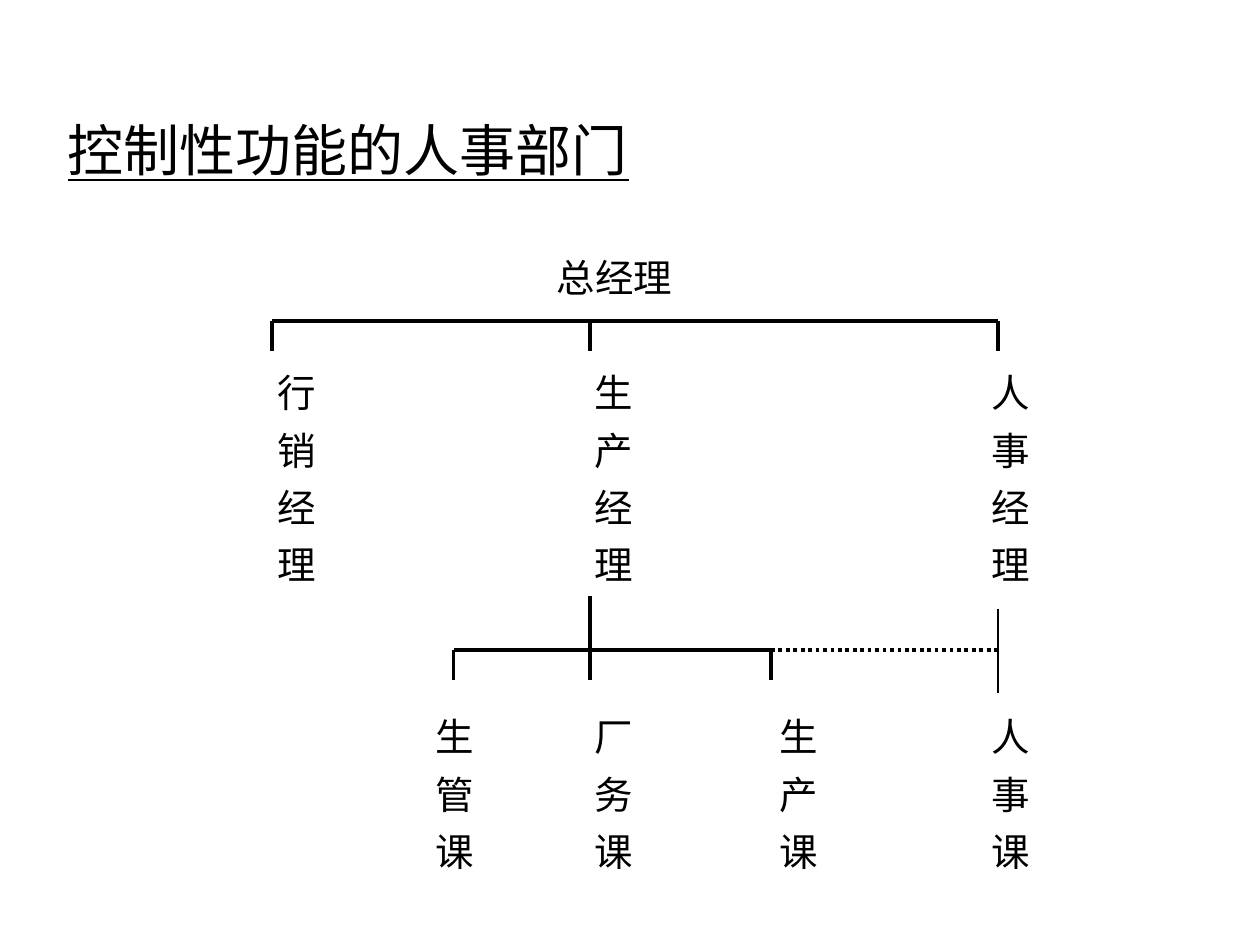
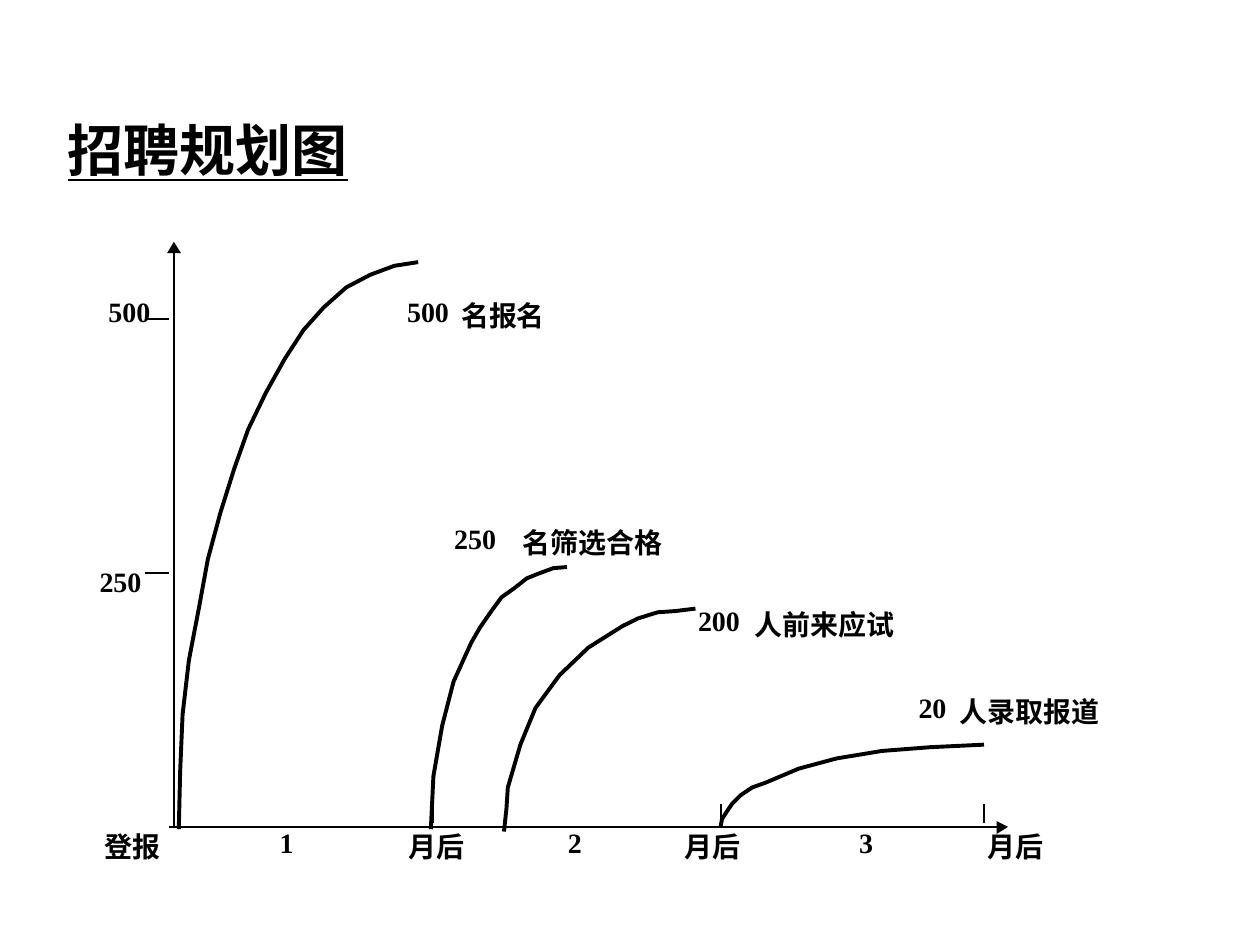
from dataclasses import dataclass

from pptx import Presentation
from pptx.dml.color import RGBColor
from pptx.enum.dml import MSO_LINE
from pptx.enum.shapes import MSO_CONNECTOR
from pptx.enum.text import MSO_ANCHOR, MSO_AUTO_SIZE
from pptx.oxml.ns import qn
from pptx.shapes.autoshape import Shape
from pptx.slide import Slide
from pptx.util import Pt

INK = RGBColor(0, 0, 0)
HAN = "Noto Sans CJK SC"
LATIN = "Times New Roman"
HEAD = "Montserrat"

BAR = 2.13
THIN = 1.13
CURVE = 2.25
ROW = 32.8
LEFT, MID, RIGHT = 155.5, 337, 570.2
TOP_BAR, LOW_BAR = 183.6, 371.6
STUB = 17
BASE = 472.5
AXIS = 99.4

Point = tuple[float, float]


@dataclass
class Column:
    text: str
    left: float
    top: float


@dataclass
class Stage:
    count: str
    text: str
    left: float
    text_left: float
    top: float
    points: list[Point]


COLUMNS = [
    Column("行销经理", 158.4, 211),
    Column("生产经理", 339.8, 211),
    Column("人事经理", 566.6, 211),
    Column("生管课", 249.1, 407.5),
    Column("厂务课", 339.8, 407.5),
    Column("生产课", 445.7, 407.5),
    Column("人事课", 566.6, 407.5),
]

STAGES = [
    Stage("500", "名报名", 232.6, 263.5, 168.5, [
        (239, 149.8), (225.4, 151.9), (211.7, 157), (198, 164.2),
        (185, 175.7), (173.5, 188.6), (162.7, 205.2), (151.9, 224.6),
        (141.8, 245.5), (133.9, 267.8), (126, 293), (118.8, 319.7),
        (113.8, 347), (108, 377.3), (104.4, 408.2), (103, 440.6),
        (102.2, 473.8)]),
    Stage("250", "名筛选合格", 259.5, 298.8, 298.3, [
        (324, 324), (316.1, 324.7), (308.2, 327.6), (301, 330.5),
        (293.8, 336.2), (286.6, 341.3), (280.8, 349.2), (274.3, 358.6),
        (269.3, 367.2), (259.2, 389.5), (252.7, 414.7), (247.7, 443.5),
        (246.2, 473.8)]),
    Stage("200", "人前来应试", 398.9, 431.3, 344.9, [
        (397.4, 347.8), (385.9, 349.2), (375.8, 349.9), (364.3, 353.5),
        (355.7, 357.8), (336.2, 370.1), (319.7, 385.9), (306, 404.6),
        (297.4, 425.5), (290.2, 450), (289.4, 462.2), (288, 475.2)]),
    Stage("20", "人录取报道", 524.9, 548.6, 394.6, [
        (562.3, 425.5), (531.4, 427), (504, 429.1), (478.1, 433.4),
        (456.5, 439.2), (437.8, 447.1), (429.8, 450), (423.4, 454.3),
        (418.3, 459.4), (415.4, 463.7), (412.6, 468), (411.8, 472.3)]),
]

MONTHS = [("登报", 59.8), ("1", 159.8), ("月后", 233.3), ("2", 324.6),
          ("月后", 391), ("3", 491), ("月后", 564.5)]


def write(slide: Slide, text: str, left: float, top: float, *,
          size: float = 22, font: str = HAN, bold: bool = False,
          under: bool = False, box: Point | None = None) -> None:
    em = 0.5 if font == LATIN else 1
    width, height = box or (len(text) * size * em, size * 1.21)
    shape = slide.shapes.add_textbox(Pt(left), Pt(top), Pt(width), Pt(height))
    frame = shape.text_frame
    if box:
        frame.word_wrap = True
        frame.vertical_anchor = MSO_ANCHOR.BOTTOM
    else:
        frame.margin_left = frame.margin_right = 0
        frame.margin_top = frame.margin_bottom = 0
        frame.word_wrap = False
        frame.auto_size = MSO_AUTO_SIZE.SHAPE_TO_FIT_TEXT
    run = frame.paragraphs[0].add_run()
    run.text = text
    style = run.font
    style.name, style.size = font, Pt(size)
    style.bold, style.underline = bold, under
    style.color.rgb = INK
    east = run._r.get_or_add_rPr().makeelement(qn("a:ea"), {"typeface": HAN})
    run._r.rPr.find(qn("a:latin")).addnext(east)


def title(slide: Slide, text: str, bold: bool = False) -> None:
    write(slide, text, 31.7, 18, size=32, font=HEAD, bold=bold, under=True,
          box=(612, 90))


def label(slide: Slide, text: str, left: float, top: float) -> None:
    if text.isdigit():
        write(slide, text, left, top, size=16, font=LATIN, bold=True)
    else:
        write(slide, text, left, top + 2.2, size=16, bold=True)


def line(slide: Slide, start: Point, end: Point, width: float = BAR,
         dash: MSO_LINE | None = None) -> None:
    rule = slide.shapes.add_connector(
        MSO_CONNECTOR.STRAIGHT, *(Pt(n) for n in (*start, *end)))
    rule.line.color.rgb = INK
    rule.line.width = Pt(width)
    if dash:
        rule.line.dash_style = dash
    props = rule._element.spPr
    props.append(props.makeelement(qn("a:effectLst"), {}))


def trace(slide: Slide, points: list[Point], close: bool = False) -> Shape:
    first, *rest = [(Pt(x), Pt(y)) for x, y in points]
    pen = slide.shapes.build_freeform(*first)
    pen.add_line_segments(rest, close=close)
    shape = pen.convert_to_shape()
    shape.shadow.inherit = False
    return shape


def curve(slide: Slide, points: list[Point]) -> None:
    shape = trace(slide, points)
    shape.fill.background()
    shape.line.color.rgb = INK
    shape.line.width = Pt(CURVE)


def arrow(slide: Slide, points: list[Point]) -> None:
    shape = trace(slide, points, close=True)
    shape.fill.solid()
    shape.fill.fore_color.rgb = INK
    shape.line.fill.background()


def branch(slide: Slide, stops: list[float], top: float) -> None:
    line(slide, (stops[0], top), (stops[-1], top))
    for stop in stops:
        line(slide, (stop, top), (stop, top + STUB))


def draw_chart(slide: Slide) -> None:
    title(slide, "控制性功能的人事部门")
    write(slide, "总经理", 318.2, 145.4)
    for col in COLUMNS:
        for row, char in enumerate(col.text):
            write(slide, char, col.left, col.top + row * ROW)
    branch(slide, [LEFT, MID, RIGHT], TOP_BAR)
    branch(slide, [259.2, MID, 440.6], LOW_BAR)
    line(slide, (MID, 340.6), (MID, 373.7))
    line(slide, (440.6, LOW_BAR), (RIGHT, LOW_BAR), dash=MSO_LINE.ROUND_DOT)
    line(slide, (RIGHT, 347.8), (RIGHT, 396), 1)


def draw_plan(slide: Slide) -> None:
    title(slide, "招聘规划图", bold=True)
    label(slide, "500", 61.9, 168.5)
    label(slide, "250", 56.9, 322.6)
    for text, left in MONTHS:
        label(slide, text, left, 471.6)
    line(slide, (AXIS, BASE), (AXIS, 142.6), THIN)
    arrow(slide, [(103.5, 144.7), (AXIS, 138.2), (95.5, 144.7)])
    line(slide, (96.5, BASE), (571.7, BASE), THIN)
    arrow(slide, [(569.5, 476.6), (576, BASE), (569.5, 469.2)])
    for y in (182.2, 327.6):
        line(slide, (96.5, y), (82.8, y), THIN)
    for x in (247.7, 411.8, 562.3):
        line(slide, (x, 459.4), (x, 470.2), THIN)
    for stage in STAGES:
        label(slide, stage.count, stage.left, stage.top)
        label(slide, stage.text, stage.text_left, stage.top)
        curve(slide, stage.points)


def main() -> None:
    deck = Presentation()
    deck.slide_width, deck.slide_height = Pt(720), Pt(540)
    for draw in (draw_chart, draw_plan):
        draw(deck.slides.add_slide(deck.slide_layouts[6]))
    deck.save("out.pptx")


if __name__ == "__main__":
    main()
